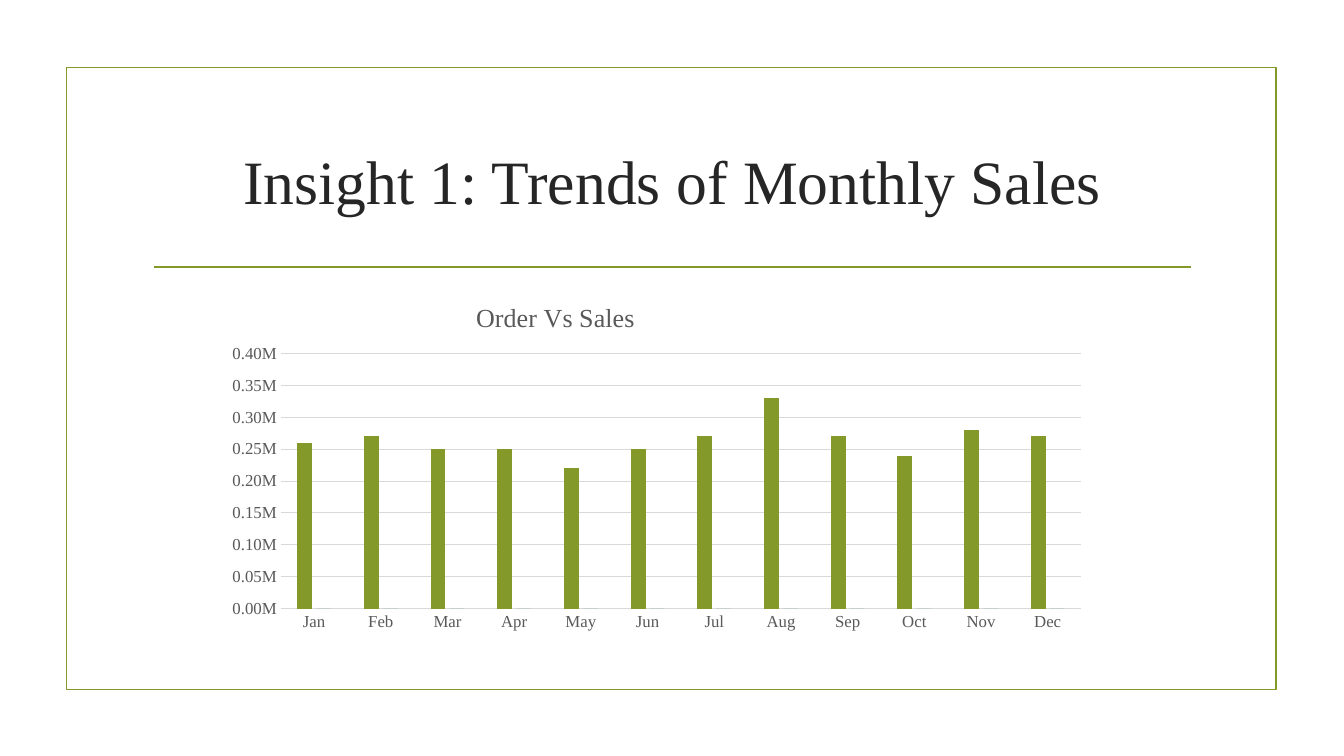
from lxml.etree import SubElement
from pptx import Presentation
from pptx.chart.data import CategoryChartData
from pptx.dml.color import RGBColor
from pptx.enum.chart import XL_CHART_TYPE, XL_TICK_MARK
from pptx.enum.shapes import MSO_CONNECTOR, MSO_SHAPE
from pptx.enum.text import MSO_ANCHOR, PP_ALIGN
from pptx.oxml import parse_xml
from pptx.oxml.ns import nsdecls, qn
from pptx.util import Inches, Pt

OLIVE = RGBColor(0x83, 0x99, 0x2A)
TEAL = RGBColor(0x3C, 0x97, 0x70)
INK = RGBColor(0x26, 0x26, 0x26)
GREY = RGBColor(0x59, 0x59, 0x59)
PALE = RGBColor(0xD9, 0xD9, 0xD9)
FONT = "Times New Roman"

MONTHS = ["Jan", "Feb", "Mar", "Apr", "May", "Jun",
          "Jul", "Aug", "Sep", "Oct", "Nov", "Dec"]
SALES = [260000, 270000, 250000, 250000, 220000, 250000,
         270000, 330000, 270000, 240000, 280000, 270000]
ORDERS = [0] * len(MONTHS)


class SalesSlide:
    """Style and drawing methods for one slide, placed by inches on its 13.33 by 7.5 grid."""

    def __init__(self, deck):
        self.slide = deck.slides.add_slide(deck.slide_layouts[5])
        self.shapes = self.slide.shapes

    def style(self, font, size, color):
        font.name, font.size, font.bold = FONT, Pt(size), False
        font.color.rgb = color

    def outline(self, line, color, width):
        line.color.rgb = color
        line.width = Pt(width)

    def frame(self, *place):
        border = self.shapes.add_shape(MSO_SHAPE.RECTANGLE, *map(Inches, place))
        border.shadow.inherit = False
        border.fill.background()
        self.outline(border.line, OLIVE, 1.25)

    def rule(self, left, right, height):
        divider = self.shapes.add_connector(
            MSO_CONNECTOR.STRAIGHT, *map(Inches, (left, height, right, height)))
        self.outline(divider.line, OLIVE, 1.25)
        SubElement(divider._element.spPr, qn("a:effectLst"))

    def title(self, wording, *place):
        heading = self.shapes.title
        heading.left, heading.top, heading.width, heading.height = map(Inches, place)
        heading.text_frame.vertical_anchor = MSO_ANCHOR.MIDDLE
        paragraph = heading.text_frame.paragraphs[0]
        paragraph.alignment = PP_ALIGN.CENTER
        run = paragraph.add_run()
        run.text = wording
        self.style(run.font, 44, INK)

    def layout(self, owner, follows, **settings):
        entries = "".join(f'<c:{tag} val="{value}"/>' for tag, value in settings.items())
        for previous in owner.findall(qn("c:layout")):
            owner.remove(previous)
        manual = parse_xml(f'<c:layout {nsdecls("c")}><c:manualLayout>{entries}'
                           '</c:manualLayout></c:layout>')
        if follows is None:
            owner.insert(0, manual)
        else:
            follows.addnext(manual)

    def axis(self, axis):
        self.style(axis.tick_labels.font, 12, GREY)
        axis.major_tick_mark = axis.minor_tick_mark = XL_TICK_MARK.NONE

    def columns(self, caption, months, series, *place):
        data = CategoryChartData()
        data.categories = months
        for name, values, _ in series:
            data.add_series(name, values)
        chart = self.shapes.add_chart(
            XL_CHART_TYPE.COLUMN_CLUSTERED, *map(Inches, place), data).chart
        self.style(chart.font, 10, GREY)
        chart.has_legend = False

        run = chart.chart_title.text_frame.paragraphs[0].add_run()
        run.text = caption
        self.style(run.font, 18.6, GREY)
        title = chart.chart_title._element
        self.layout(title, title.find(qn("c:tx")),
                    xMode="edge", yMode="edge", x=0.31, y=0.04)
        self.layout(chart._chartSpace.chart.plotArea, None, layoutTarget="inner",
                    xMode="edge", yMode="edge", x=0.13, y=0.195, w=0.756, h=0.697)

        self.axis(chart.category_axis)
        self.outline(chart.category_axis.format.line, PALE, 0.75)
        amounts = chart.value_axis
        self.axis(amounts)
        amounts.format.line.fill.background()
        self.outline(amounts.major_gridlines.format.line, PALE, 0.75)
        amounts.minimum_scale, amounts.maximum_scale = 0, 400000
        amounts.major_unit = 50000
        amounts.tick_labels.number_format = '0.00,,"M"'
        amounts.tick_labels.number_format_is_linked = False

        plot = chart.plots[0]
        plot.gap_width, plot.overlap = 219, -27
        plot.vary_by_categories = False
        for bars, (_, _, color) in zip(plot.series, series):
            bars.format.fill.solid()
            bars.format.fill.fore_color.rgb = color


def main():
    deck = Presentation()
    deck.slide_width, deck.slide_height = Inches(13.33), Inches(7.5)
    page = SalesSlide(deck)
    page.frame(0.66, 0.67, 12, 6.17)
    page.rule(1.53, 11.81, 2.65)
    page.title("Insight 1: Trends of Monthly Sales", 1.42, 1.07, 10.5, 1.43)
    page.columns("Order Vs Sales", MONTHS,
                 [("Series 1", SALES, OLIVE), ("Series 2", ORDERS, TEAL)],
                 1.42, 2.8, 10.5, 3.63)
    deck.save("out.pptx")


if __name__ == "__main__":
    main()
